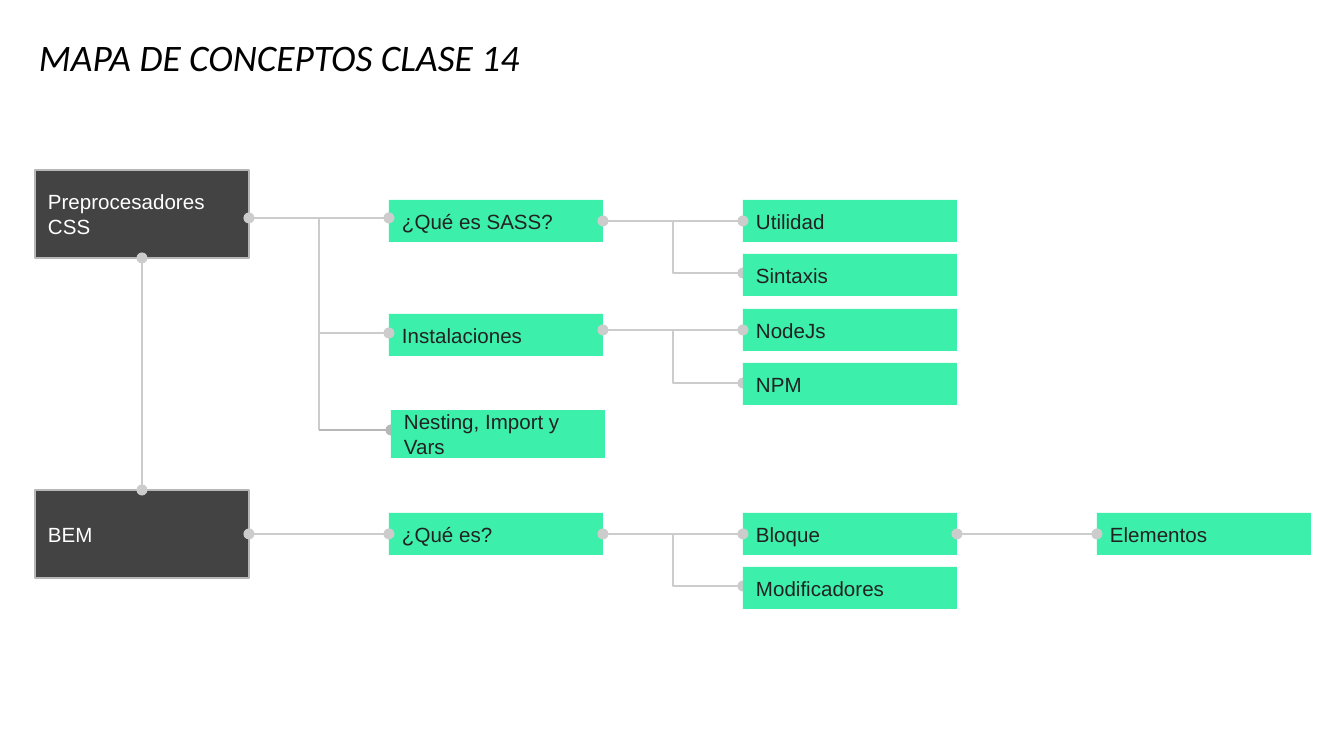
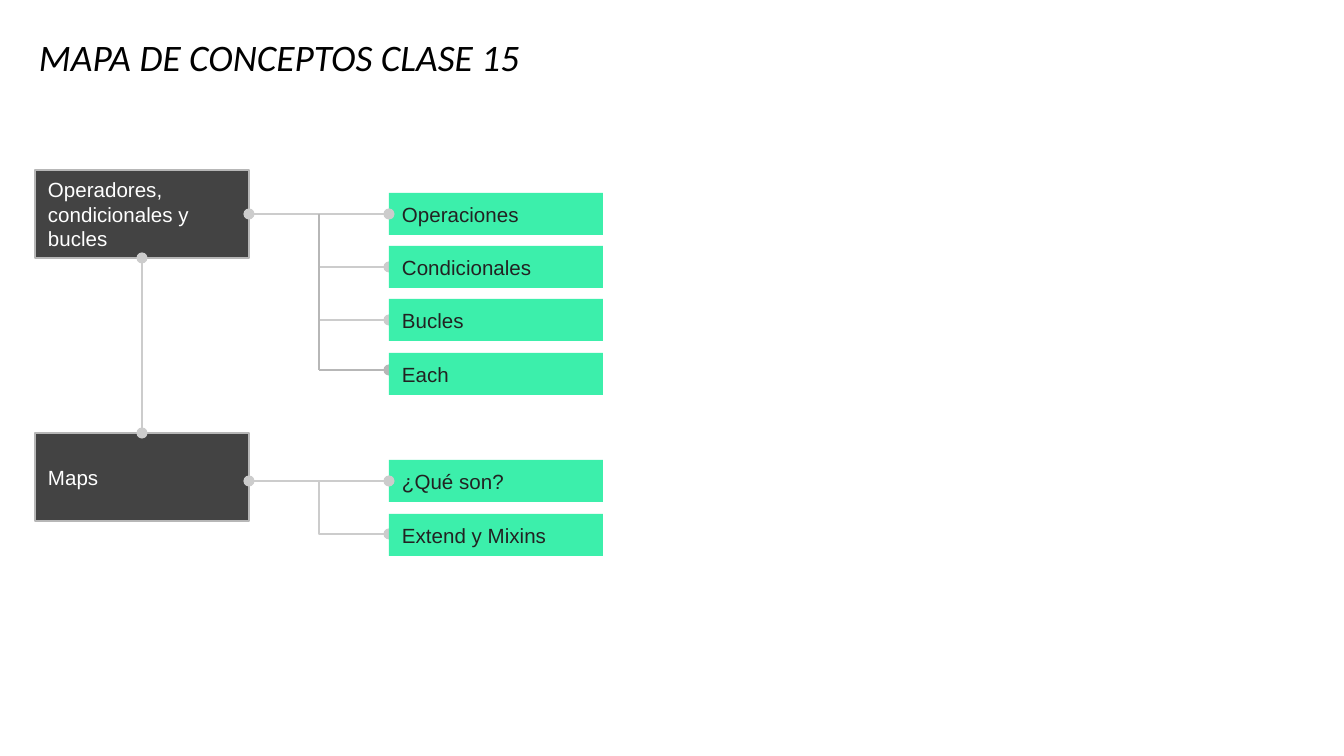
from dataclasses import dataclass
from pptx import Presentation
from pptx.dml.color import RGBColor
from pptx.enum.shapes import MSO_CONNECTOR, MSO_SHAPE
from pptx.enum.text import MSO_ANCHOR, PP_ALIGN
from pptx.oxml.ns import qn
from pptx.util import Pt
from lxml.etree import SubElement

DARK, GREEN, INK, WHITE, BLACK = "434343", "3CEFAB", "222222", "FFFFFF", "000000"
LINE, LINE_DARK = "CCCCCC", "B7B7B7"

SCALE = 914400 / 134.4
PAGE_SIZE = 1344, 756
TITLE_BOX = 26, 30, 1110, 62
LEFT, COLUMN_STEP, BOX_WIDTH = 35, 354, 214
TOPIC_HEIGHT, CONCEPT_HEIGHT = 88, 42
INSET = 13


@dataclass
class Concept:
    text: str
    top: int
    children: tuple = ()
    entry: int = 0  # height at which its line arrives; 0 means the middle
    link: str = "elbow"  # for later children: "elbow" or "trunk"
    front: bool = False  # elbow drawn over the box
    trunk_color: str = LINE
    height: int = CONCEPT_HEIGHT
    shift: int = 0

    @property
    def middle(self):
        return self.top + self.height // 2

    @property
    def arrival(self):
        return self.entry or self.middle


def topic(text, top, *children):
    return Concept(text, top, children, height=TOPIC_HEIGHT)


# Content: each topic holds its tree of concepts
MAPS = [
    ("MAPA DE CONCEPTOS CLASE 14", [
        topic("Preprocesadores\nCSS", 170,
              Concept("¿Qué es SASS?", 200, entry=218, children=(
                  Concept("Utilidad", 200),
                  Concept("Sintaxis", 254, entry=273))),
              Concept("Instalaciones", 314, entry=333, front=True, children=(
                  Concept("NodeJs", 309),
                  Concept("NPM", 363, entry=383))),
              Concept("Nesting, Import y Vars", 410, entry=430, link="trunk",
                      height=48, shift=2)),
        topic("BEM", 490,
              Concept("¿Qué es?", 513, (
                  Concept("Bloque", 513, (Concept("Elementos", 513),)),
                  Concept("Modificadores", 567, entry=586)))),
    ]),
    ("MAPA DE CONCEPTOS CLASE 15", [
        topic("Operadores, condicionales y bucles", 170,
              Concept("Operaciones", 193),
              Concept("Condicionales", 246),
              Concept("Bucles", 299),
              Concept("Each", 353, entry=370, link="trunk", trunk_color=LINE_DARK)),
        topic("Maps", 433,
              Concept("¿Qué son?", 460),
              Concept("Extend y Mixins", 514, entry=534)),
    ]),
]


def px(value):
    return round(value * SCALE)


def rgb(color):
    return RGBColor.from_string(color)


def write(box, text, *, size=11, font="Arial", color=INK, italic=False,
          anchor=MSO_ANCHOR.MIDDLE):
    frame = box.text_frame
    frame.word_wrap = True
    frame.vertical_anchor = anchor
    frame.margin_left = frame.margin_right = px(INSET)
    frame.margin_top = frame.margin_bottom = px(INSET)
    for index, line in enumerate(text.split("\n")):
        para = frame.add_paragraph() if index else frame.paragraphs[0]
        para.alignment = PP_ALIGN.LEFT
        span = para.add_run()
        span.text = line
        span.font.size = Pt(size)
        span.font.name = font
        span.font.italic = italic
        span.font.color.rgb = rgb(color)


def add_box(page, concept, column):
    left = LEFT + column * COLUMN_STEP + concept.shift
    box = page.shapes.add_shape(MSO_SHAPE.RECTANGLE, px(left), px(concept.top),
                                px(BOX_WIDTH), px(concept.height))
    box.shadow.inherit = False
    box.fill.solid()
    is_topic = column == 0
    box.fill.fore_color.rgb = rgb(DARK if is_topic else GREEN)
    if is_topic:
        box.line.color.rgb = rgb(LINE_DARK)
        box.line.width = Pt(0.75)
    else:
        box.line.fill.background()
    write(box, concept.text, color=WHITE if is_topic else INK)
    return box


def add_line(page, start, end, *, color=LINE, dots=("tailEnd",),
             kind=MSO_CONNECTOR.STRAIGHT):
    line = page.shapes.add_connector(kind, *map(px, start + end))
    line.line.color.rgb = rgb(color)
    line.line.width = Pt(0.75)
    properties = line.line._get_or_add_ln()
    for dot in dots:
        SubElement(properties, qn(f"a:{dot}"), type="oval")
    SubElement(properties.getparent(), qn("a:effectLst"))
    return line


def add_children(page, parent, parent_box, column):
    if not parent.children:
        return
    start_x = LEFT + column * COLUMN_STEP + BOX_WIDTH
    start_y = parent.children[0].arrival
    end_x = LEFT + (column + 1) * COLUMN_STEP
    trunk_x = (start_x + end_x) // 2

    for index, child in enumerate(parent.children):
        end = end_x + child.shift, child.arrival
        # Boxes with an arriving dot on top come before their line
        over = index == 0 or child.front
        if over:
            box = add_box(page, child, column + 1)
        if index == 0:
            line = add_line(page, (start_x, start_y), end, dots=("headEnd", "tailEnd"))
            if parent.middle == start_y:
                line.begin_connect(parent_box, 3)
            if child.middle == start_y:
                line.end_connect(box, 1)
        elif child.link == "trunk":
            add_line(page, (trunk_x, start_y), (trunk_x, child.arrival),
                     color=child.trunk_color, dots=())
            add_line(page, (trunk_x, child.arrival), end, color=LINE_DARK)
        else:
            add_line(page, (start_x, start_y), end, kind=MSO_CONNECTOR.ELBOW)
        if not over:
            box = add_box(page, child, column + 1)
        add_children(page, child, box, column + 1)


def add_map(deck, title, topics):
    page = deck.slides.add_slide(deck.slide_layouts[6])
    title_box = page.shapes.add_textbox(*map(px, TITLE_BOX))
    write(title_box, title, size=20, font="Calibri", color=BLACK, italic=True,
          anchor=MSO_ANCHOR.BOTTOM)

    # Topics, joined from top to bottom
    topic_boxes = [add_box(page, item, 0) for item in topics]
    center = LEFT + BOX_WIDTH // 2
    for upper, lower in zip(topic_boxes, topic_boxes[1:]):
        line = add_line(page, (center, 0), (center, 0), dots=("headEnd", "tailEnd"))
        line.begin_connect(upper, 2)
        line.end_connect(lower, 0)

    for item, box in zip(topics, topic_boxes):
        add_children(page, item, box, 0)


def main():
    deck = Presentation()
    deck.slide_width, deck.slide_height = map(px, PAGE_SIZE)
    for title, topics in MAPS:
        add_map(deck, title, topics)
    deck.save("out.pptx")


if __name__ == "__main__":
    main()
